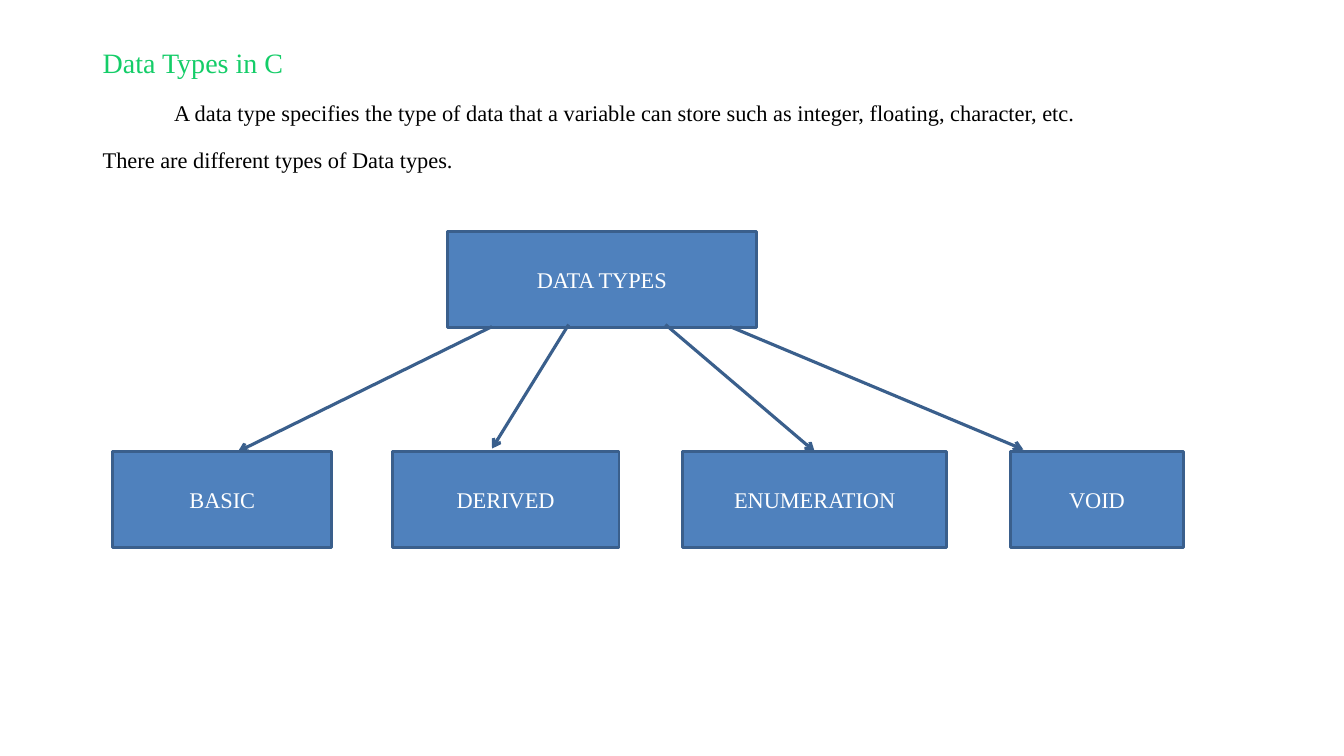
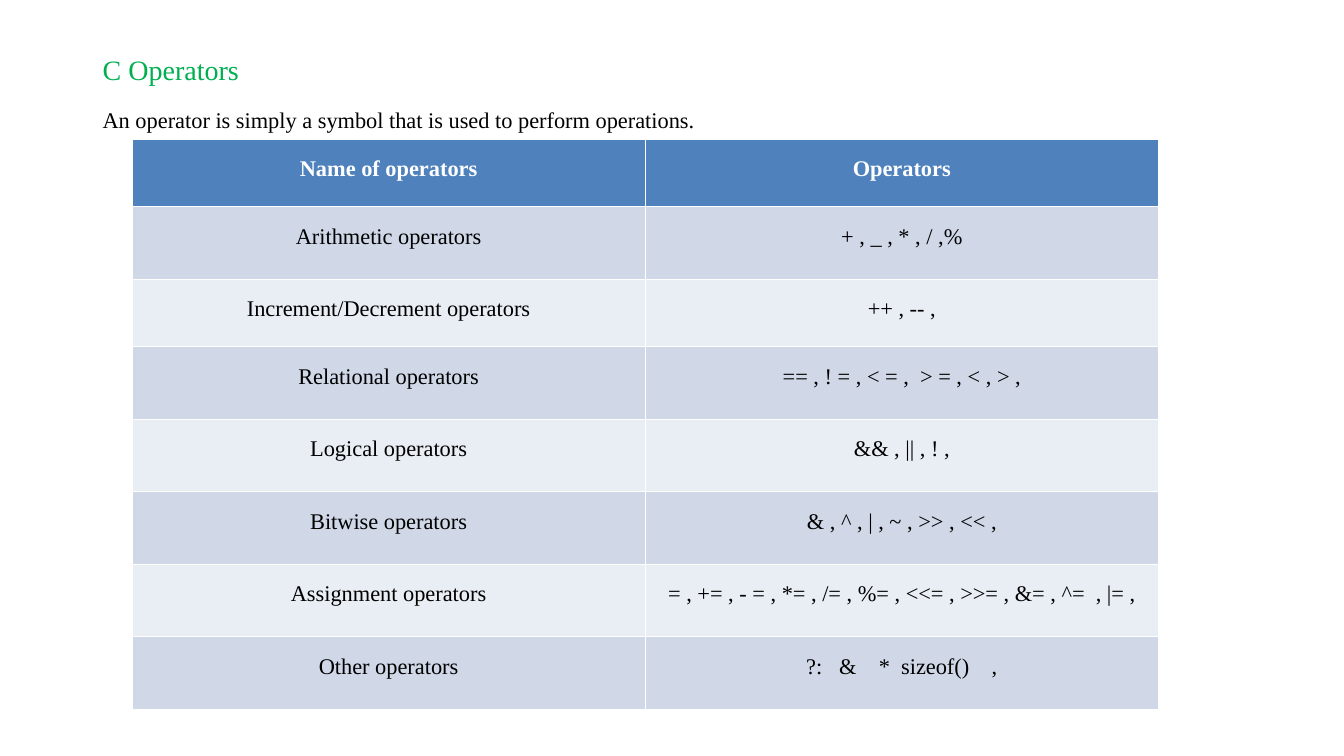
from dataclasses import dataclass

from pptx import Presentation
from pptx.dml.color import RGBColor as RGB
from pptx.enum.shapes import MSO_CONNECTOR, MSO_SHAPE
from pptx.enum.text import MSO_ANCHOR, PP_ALIGN
from pptx.oxml.ns import qn
from pptx.util import Inches, Pt


@dataclass(frozen=True)
class Theme:
    font: str = "Times New Roman"
    title_size: int = 20
    body_size: int = 16
    line_spacing: float = 1.5
    space_before: float = 4.5
    text: RGB = RGB(0x00, 0x00, 0x00)
    white: RGB = RGB(0xFF, 0xFF, 0xFF)
    title_bright: RGB = RGB(0x14, 0xCD, 0x68)
    title_deep: RGB = RGB(0x00, 0xB0, 0x50)
    blue: RGB = RGB(0x4F, 0x81, 0xBD)
    outline: RGB = RGB(0x3A, 0x5F, 0x8C)
    bands: tuple = (RGB(0xD0, 0xD8, 0xE8), RGB(0xE9, 0xED, 0xF4))


THEME = Theme()

ROOT_BOX = ("DATA TYPES", 4.44, 2.3, 3.06)
CHILD_TOP = 4.48
BOX_HEIGHT = 0.95
CHILD_BOXES = [  # label, left, width
    ("BASIC", 1.12, 2.17),
    ("DERIVED", 3.89, 2.25),
    ("ENUMERATION", 6.77, 2.62),
    ("VOID", 10.02, 1.72),
]
ARROWS = [  # start, end
    ((4.88, 3.24), (2.36, 4.48)),
    ((7.24, 3.24), (10.15, 4.46)),
    ((5.64, 3.22), (4.88, 4.45)),
    ((6.6, 3.22), (8.08, 4.48)),
]

OPERATORS = [
    ("Name of operators", "Operators"),
    ("Arithmetic operators", "+ , _ , * , / ,%"),
    ("Increment/Decrement operators", "++ , -- ,"),
    ("Relational operators", "== , ! = , < = ,  > = , < , > ,"),
    ("Logical operators", "&& , || , ! ,"),
    ("Bitwise operators", "& , ^ , | , ~ , >> , << ,"),
    ("Assignment operators",
     "= , += , - = , *= , /= , %= , <<= , >>= , &= , ^=  , |= ,"),
    ("Other operators", "?:   &    *  sizeof()    ,"),
]
ROW_HEIGHTS = [0.67, 0.72, 0.67] + [0.72] * 5
COLUMN_WIDTH = 5.09


def style_text(p, color, size=THEME.body_size, bold=False, align=PP_ALIGN.LEFT):
    p.alignment = align
    p.font.name = THEME.font
    p.font.size = Pt(size)
    p.font.bold = bold
    p.font.color.rgb = color


def add_heading(slide, top, title, title_color, lines, first_indent=0):
    """Add a title with body lines below; first_indent applies to the first line."""
    tf = slide.shapes.add_textbox(
        Inches(0.92), Inches(top), Inches(11.5), Inches(1.6)).text_frame
    tf.word_wrap = True
    p = tf.paragraphs[0]
    p.text = title
    p.line_spacing = THEME.line_spacing
    style_text(p, title_color, THEME.title_size)
    for i, line in enumerate(lines):
        p = tf.add_paragraph()
        p.text = line
        p.line_spacing = THEME.line_spacing
        p.space_before = Pt(THEME.space_before)
        if i == 0 and first_indent:
            p._p.get_or_add_pPr().set("indent", str(Inches(first_indent)))
        style_text(p, THEME.text)


def add_box(slide, label, left, top, width):
    sp = slide.shapes.add_shape(
        MSO_SHAPE.RECTANGLE, Inches(left), Inches(top), Inches(width), Inches(BOX_HEIGHT))
    sp.shadow.inherit = False
    sp.fill.solid()
    sp.fill.fore_color.rgb = THEME.blue
    sp.line.color.rgb = THEME.outline
    sp.line.width = Pt(2)
    tf = sp.text_frame
    tf.word_wrap = True
    tf.vertical_anchor = MSO_ANCHOR.MIDDLE
    p = tf.paragraphs[0]
    p.text = label
    style_text(p, THEME.white, align=PP_ALIGN.CENTER)


def add_arrow(slide, start, end):
    points = [Inches(v) for v in (*start, *end)]
    line = slide.shapes.add_connector(MSO_CONNECTOR.STRAIGHT, *points)
    line.line.color.rgb = THEME.outline
    line.line.width = Pt(2.25)
    ln = line.line._get_or_add_ln()
    ln.append(ln.makeelement(qn("a:tailEnd"), {"type": "arrow"}))
    sp_pr = line._element.spPr
    sp_pr.append(sp_pr.makeelement(qn("a:effectLst"), {}))


def add_table(slide, rows, left, top):
    """Add a banded table whose first row is the header."""
    columns = len(rows[0])
    table = slide.shapes.add_table(
        len(rows), columns, Inches(left), Inches(top),
        Inches(COLUMN_WIDTH * columns), Inches(sum(ROW_HEIGHTS))).table
    for column in table.columns:
        column.width = Inches(COLUMN_WIDTH)
    for r, values in enumerate(rows):
        table.rows[r].height = Inches(ROW_HEIGHTS[r])
        header = r == 0
        for c, value in enumerate(values):
            cell = table.cell(r, c)
            cell.fill.solid()
            cell.fill.fore_color.rgb = THEME.blue if header else THEME.bands[(r - 1) % 2]
            p = cell.text_frame.paragraphs[0]
            p.text = value
            p.line_spacing = THEME.line_spacing
            style_text(p, THEME.white if header else THEME.text,
                       bold=header, align=PP_ALIGN.CENTER)


def build_data_types(slide):
    add_heading(slide, 0.24, "Data Types in C", THEME.title_bright, [
        "A data type specifies the type of data that a variable can store "
        "such as integer, floating, character, etc.",
        "There are different types of Data types.",
    ], first_indent=0.71)
    add_box(slide, *ROOT_BOX)
    for label, left, width in CHILD_BOXES:
        add_box(slide, label, left, CHILD_TOP, width)
    for start, end in ARROWS:
        add_arrow(slide, start, end)


def build_operators(slide):
    add_heading(slide, 0.31, "C Operators", THEME.title_deep, [
        "An operator is simply a symbol that is used to perform operations.",
    ])
    add_table(slide, OPERATORS, 1.31, 1.38)


def main():
    prs = Presentation()
    prs.slide_width, prs.slide_height = Inches(13.33), Inches(7.5)
    blank = prs.slide_layouts[6]
    for build in (build_data_types, build_operators):
        build(prs.slides.add_slide(blank))
    prs.save("out.pptx")


if __name__ == "__main__":
    main()
